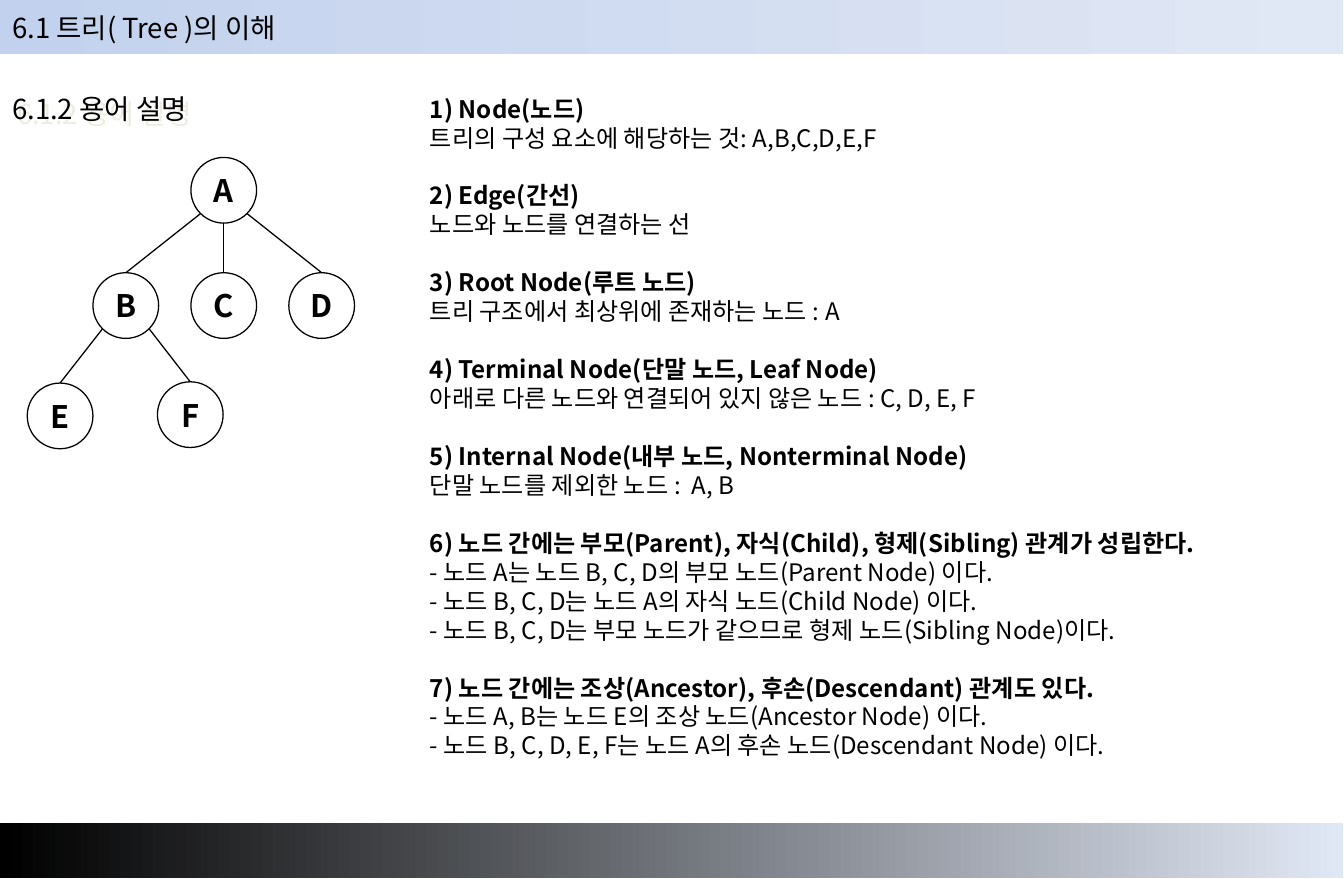
"""Build the slide on tree terms."""
import pptx
import pptx.util
import pptx.oxml
import pptx.oxml.ns
import pptx.dml.color
import pptx.enum.shapes
import pptx.enum.text
from pptx.util import Inches

FACE = "Noto Sans CJK KR"
COLORS = {"ink": "000000", "paper": "FFFFFF", "blue": "C2D1ED",
          "pale": "E1E8F5", "cream": "EEECE1"}
FRAME = {"word_wrap": True,
         "margin_left": Inches(0.1), "margin_right": Inches(0.1),
         "margin_top": Inches(0.05), "margin_bottom": Inches(0.05)}
SIZE = 0.53
NODES = {"A": (1.54, 1.27), "B": (0.75, 2.2), "C": (1.54, 2.2),
         "D": (2.33, 2.2), "E": (0.22, 3.09), "F": (1.27, 3.08)}
EDGES = [("A", "B", -1), ("A", "C", 0), ("A", "D", 1),
         ("B", "E", -1), ("B", "F", 1)]
TERMS = [
    ("1) Node(노드)", "트리의 구성 요소에 해당하는 것: A,B,C,D,E,F"),
    ("2) Edge(간선)", "노드와 노드를 연결하는 선"),
    ("3) Root Node(루트 노드)", "트리 구조에서 최상위에 존재하는 노드 : A"),
    ("4) Terminal Node(단말 노드, Leaf Node)",
     "아래로 다른 노드와 연결되어 있지 않은 노드 : C, D, E, F"),
    ("5) Internal Node(내부 노드, Nonterminal Node)",
     "단말 노드를 제외한 노드 :  A, B"),
    ("6) 노드 간에는 부모(Parent), 자식(Child), 형제(Sibling) 관계가 성립한다.",
     "- 노드 A는 노드 B, C, D의 부모 노드(Parent Node) 이다.",
     "- 노드 B, C, D는 노드 A의 자식 노드(Child Node) 이다.",
     "- 노드 B, C, D는 부모 노드가 같으므로 형제 노드(Sibling Node)이다."),
    ("7) 노드 간에는 조상(Ancestor), 후손(Descendant) 관계도 있다.",
     "- 노드 A, B는 노드 E의 조상 노드(Ancestor Node) 이다.",
     "- 노드 B, C, D, E, F는 노드 A의 후손 노드(Descendant Node) 이다."),
]


def shade(name):
    """Return the named colour."""
    return pptx.dml.color.RGBColor.from_string(COLORS[name])


def apply(target, form):
    """Set each format value on the target."""
    for key, value in form.items():
        setattr(target, key, value)


def write(para, text, size, bold=False):
    """Put one styled run into a paragraph."""
    para.line_spacing = pptx.util.Pt(size * 1.2)
    run = para.add_run()
    run.text = text
    apply(run.font, {"name": FACE, "size": pptx.util.Pt(size), "bold": bold})
    run.font.color.rgb = shade("ink")
    props = run.font._element
    east = pptx.oxml.parse_xml(
        f'<a:ea {pptx.oxml.ns.nsdecls("a")} typeface="{FACE}"/>')
    props.find(pptx.oxml.ns.qn("a:latin")).addnext(east)


def add_box(slide, left, top, width, height):
    """Add an empty text box."""
    box = slide.shapes.add_textbox(*map(Inches, (left, top, width, height)))
    apply(box.text_frame, FRAME)
    return box


def add_bar(slide, top, start):
    """Add a full-width bar with a gradient."""
    bar = slide.shapes.add_shape(
        pptx.enum.shapes.MSO_SHAPE.RECTANGLE,
        *map(Inches, (0, top, 10.83, 0.44)))
    bar.shadow.inherit = False
    bar.line.fill.background()
    bar.fill.gradient()
    bar.fill.gradient_angle = 0
    for stop, place, name in zip(bar.fill.gradient_stops, (0, 1), (start, "pale")):
        stop.position = place
        stop.color.rgb = shade(name)


def add_node(slide, name, left, top):
    """Add a round tree node with its letter."""
    node = slide.shapes.add_shape(
        pptx.enum.shapes.MSO_SHAPE.OVAL,
        *map(Inches, (left, top, SIZE, SIZE)))
    node.shadow.inherit = False
    node.fill.solid()
    node.fill.fore_color.rgb = shade("paper")
    node.line.color.rgb = shade("ink")
    node.line.width = pptx.util.Pt(0.75)
    apply(node.text_frame, FRAME)
    node.text_frame.vertical_anchor = pptx.enum.text.MSO_ANCHOR.MIDDLE
    para = node.text_frame.paragraphs[0]
    para.alignment = pptx.enum.text.PP_ALIGN.CENTER
    write(para, name, 18, True)
    return node


def add_edge(slide, upper, lower, side):
    """Join the rim of the upper node to the top of the lower one."""
    reach = Inches(0.19 if side else SIZE / 2)
    left = upper.left + upper.width // 2 + side * reach
    top = upper.top + upper.height // 2 + reach
    edge = slide.shapes.add_connector(
        pptx.enum.shapes.MSO_CONNECTOR.STRAIGHT, left, top,
        lower.left + lower.width // 2, lower.top)
    edge.end_connect(lower, 0)
    edge.line.color.rgb = shade("ink")
    edge.line.width = pptx.util.Pt(0.75)
    edge._element.spPr.append(pptx.oxml.parse_xml(
        f'<a:effectLst {pptx.oxml.ns.nsdecls("a")}/>'))


def add_shadow(box):
    """Give the text a faint offset shadow."""
    box._element.spPr.append(pptx.oxml.parse_xml(
        f'<a:effectLst {pptx.oxml.ns.nsdecls("a")}>'
        '<a:outerShdw dist="52000" dir="2700000" algn="ctr">'
        f'<a:srgbClr val="{COLORS["cream"]}"/></a:outerShdw></a:effectLst>'))


def add_terms(slide):
    """List each term in bold with its meaning below."""
    frame = add_box(slide, 3.37, 0.71, 7.24, 5.5).text_frame
    para = frame.paragraphs[0]
    for index, term in enumerate(TERMS):
        for row, text in enumerate(term):
            if index or row:
                para = frame.add_paragraph()
            if index and not row:
                para.space_before = pptx.util.Pt(16.8)
            write(para, text, 14, row == 0)


def main():
    """Build and save the slide."""
    deck = pptx.Presentation()
    apply(deck, {"slide_width": Inches(10.84), "slide_height": Inches(7.09)})
    slide = deck.slides.add_slide(deck.slide_layouts[6])
    add_bar(slide, 0, "blue")
    add_bar(slide, 6.64, "ink")
    title = add_box(slide, 0, 0.04, 10.82, 0.37)
    write(title.text_frame.paragraphs[0], "6.1 트리( Tree )의 이해", 16)
    topic = add_box(slide, 0, 0.69, 3.3, 0.37)
    write(topic.text_frame.paragraphs[0], "6.1.2 용어 설명", 16)
    add_shadow(topic)
    nodes = {name: add_node(slide, name, *spot) for name, spot in NODES.items()}
    for upper, lower, side in EDGES:
        add_edge(slide, nodes[upper], nodes[lower], side)
    add_terms(slide)
    deck.save("out.pptx")


if __name__ == "__main__":
    main()
